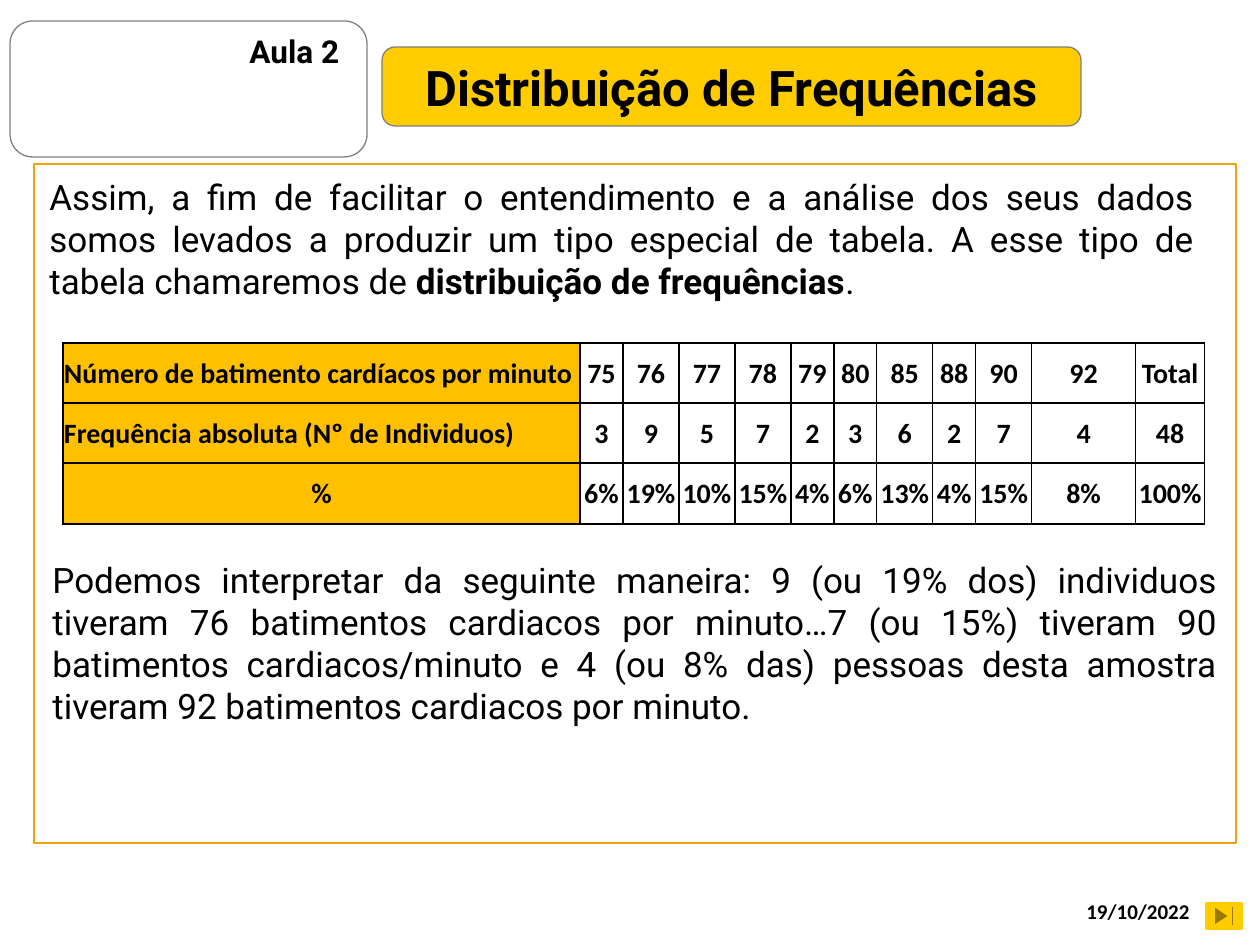
from lxml.etree import SubElement
from pptx import Presentation
from pptx.dml.color import RGBColor
from pptx.enum.shapes import MSO_SHAPE
from pptx.enum.text import MSO_ANCHOR, PP_ALIGN
from pptx.oxml.ns import qn
from pptx.util import Emu, Pt

SCALE = 914400 / 126
COLORS = {"black": "000000", "gray": "808080", "yellow": "FFCC00",
          "gold": "FFC000", "orange": "F2A10E"}


def px(*lengths):
    return [Emu(round(length * SCALE)) for length in lengths]


def write(frame, spans, size, font, align, anchor):
    """Put one paragraph of (text, bold) spans into a text frame."""
    frame.word_wrap = True
    frame.vertical_anchor = anchor
    para = frame.paragraphs[0]
    para.alignment = align
    for text, bold in spans:
        span = para.add_run()
        span.text = text
        span.font.color.rgb = RGBColor.from_string(COLORS["black"])
        for name, value in {"size": Pt(size), "name": font, "bold": bold}.items():
            setattr(span.font, name, value)


deck = Presentation()
deck.slide_width, deck.slide_height = px(1260, 945)
page = deck.slides.add_slide(deck.slide_layouts[6])

# Frames, title bar and end button
shapes = {}
for name, kind, area, fill, line in [
    ("lesson", MSO_SHAPE.ROUNDED_RECTANGLE, (10, 21, 357, 136), None, "gray"),
    ("title", MSO_SHAPE.ROUNDED_RECTANGLE, (382, 47, 699, 79), "yellow", "gray"),
    ("end", MSO_SHAPE.ACTION_BUTTON_END, (1206, 903, 36, 26), "yellow", "yellow"),
    ("body", MSO_SHAPE.RECTANGLE, (34, 164, 1202, 679), None, "orange"),
]:
    shape = page.shapes.add_shape(kind, *px(*area))
    shape.shadow.inherit = False
    if fill:
        shape.fill.solid()
        shape.fill.fore_color.rgb = RGBColor.from_string(COLORS[fill])
    else:
        shape.fill.background()
    shape.line.color.rgb = RGBColor.from_string(COLORS[line])
    shape.line.width = Pt(0.75)
    shapes[name] = shape
write(shapes["title"].text_frame, [("Distribuição de Frequências", True)],
      28, "Roboto", PP_ALIGN.CENTER, MSO_ANCHOR.MIDDLE)

# Date, lesson label and the two paragraphs
for area, spans, size, font, align, anchor in [
    ((1074, 886, 144, 50), [("19/10/2022", True)], 12, "Calibri",
     PP_ALIGN.LEFT, MSO_ANCHOR.MIDDLE),
    ((37, 169, 1170, 140),
     [("Assim, a fim de facilitar o entendimento e a análise dos seus dados somos "
       "levados a produzir um tipo especial de tabela. A esse tipo de tabela "
       "chamaremos de ", False), ("distribuição de frequências", True), (".", False)],
     20, "Roboto", PP_ALIGN.JUSTIFY, MSO_ANCHOR.TOP),
    ((237, 26, 126, 50), [("Aula 2", True)], 18, "Roboto",
     PP_ALIGN.LEFT, MSO_ANCHOR.MIDDLE),
    ((40, 552, 1190, 183),
     [("Podemos interpretar da seguinte maneira: 9 (ou 19% dos) individuos tiveram "
       "76 batimentos cardiacos por minuto…7 (ou 15%) tiveram 90 batimentos "
       "cardiacos/minuto e 4 (ou 8% das) pessoas desta amostra tiveram 92 batimentos "
       "cardiacos por minuto.", False)], 20, "Roboto", PP_ALIGN.JUSTIFY, MSO_ANCHOR.TOP),
]:
    box = page.shapes.add_textbox(*px(*area))
    write(box.text_frame, spans, size, font, align, anchor)

# Frequency table
rows = [
    ["Número de batimento cardíacos por minuto", "75", "76", "77", "78", "79",
     "80", "85", "88", "90", "92", "Total"],
    ["Frequência absoluta (Nº de Individuos)", "3", "9", "5", "7", "2",
     "3", "6", "2", "7", "4", "48"],
    ["%", "6%", "19%", "10%", "15%", "4%", "6%", "13%", "4%", "15%", "8%", "100%"],
]
widths = px(517, 43, 56, 56, 56, 43, 43, 56, 43, 56, 104, 69)
heights = px(60, 60, 61)
header_aligns = [PP_ALIGN.JUSTIFY, PP_ALIGN.LEFT, PP_ALIGN.CENTER]
last_row, last_column = len(rows) - 1, len(widths) - 1
table = page.shapes.add_table(len(rows), len(widths), *px(63, 343),
                              sum(widths), sum(heights)).table
table.first_row = table.horz_banding = False
for column, width in zip(table.columns, widths):
    column.width = width
for row, height in zip(table.rows, heights):
    row.height = height

for r, texts in enumerate(rows):
    for c, text in enumerate(texts):
        cell = table.cell(r, c)
        align = PP_ALIGN.CENTER if c else header_aligns[r]
        write(cell.text_frame, [(text, True)], 16, "Calibri", align, MSO_ANCHOR.MIDDLE)
        cell.vertical_anchor = MSO_ANCHOR.MIDDLE
        cell.margin_left = cell.margin_right = cell.margin_top = px(1)[0]
        cell.margin_bottom = 0

        # Thick rules: left, top and bottom edges, and around the total
        thick = {"lnL": c == 0, "lnR": False,
                 "lnT": r == 0 or c == last_column,
                 "lnB": r == last_row or c == last_column}
        for edge, is_thick in thick.items():
            border = SubElement(cell._tc.get_or_add_tcPr(), qn(f"a:{edge}"),
                                w=str(Pt(1.5 if is_thick else 1)))
            paint = SubElement(border, qn("a:solidFill"))
            SubElement(paint, qn("a:srgbClr"), val=COLORS["black"])
        if c == 0:
            cell.fill.solid()
            cell.fill.fore_color.rgb = RGBColor.from_string(COLORS["gold"])
        else:
            cell.fill.background()

deck.save("out.pptx")
